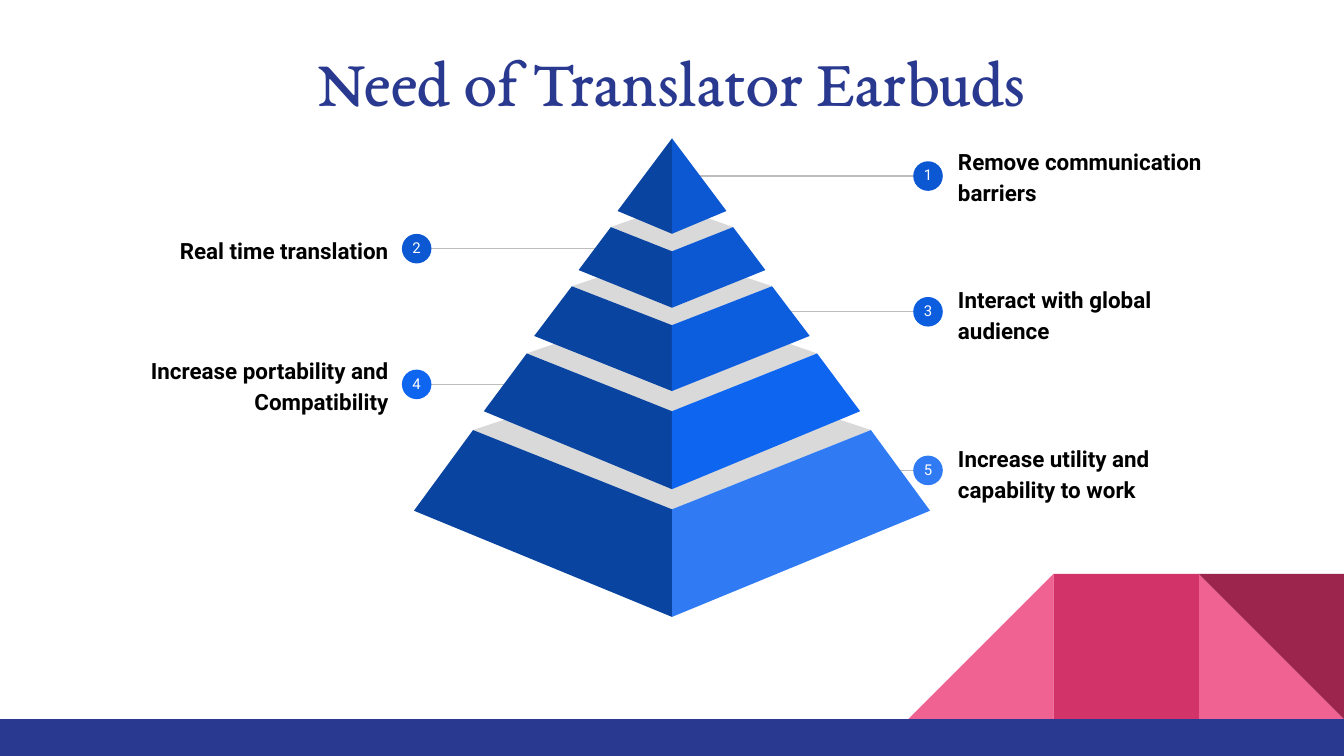
from lxml import etree
from pptx import Presentation, util as u
from pptx.dml.color import RGBColor
from pptx.enum import shapes, text
from pptx.oxml import ns

# Grid: 100 columns by 56.25 rows, each cell a tenth of an inch.
CELL = u.Inches(0.1)
COLS, ROWS, AXIS = 100, 56.25, 50
COLORS = {
    "navy": "2A3990", "pink": "F06292", "rose": "D23369", "wine": "9C254D",
    "shade": "0944A1", "cap": "D9D9D9", "rule": "BDBDBD",
    "black": "000000", "white": "FFFFFF",
    "tier1": "0C58D3", "tier2": "0C58D3", "tier3": "0D5DDF",
    "tier4": "0E65F0", "tier5": "307BF3",
}
# Tier: half width and row of the upper corner, seam top and bottom rows,
# half width and row of the lower corner, row of the cap's back corner.
TIERS = [
    (0, 10.3, 10.3, 17.4, 4.05, 15.7, None),
    (4.55, 16.9, 18.7, 22.9, 6.95, 20.1, 15.3),
    (7.45, 21.3, 24.2, 29.1, 10.25, 25, 18.8),
    (10.8, 26.3, 30.6, 36.4, 14, 30.6, 22.6),
    (14.8, 32, 37.9, 45.9, 19.2, 38, 27.1),
]
# Callout: side, rule row, rule's start column, label's top row, label.
CALLOUTS = [
    ("right", 13.1, 51.7, 8.9, "Remove communication barriers"),
    ("left", 18.5, 44.5, 14.4, "Real time translation"),
    ("right", 23.2, 57.6, 19.2, "Interact with global audience"),
    ("left", 28.6, 39.6, 24.5, "Increase portability and Compatibility"),
    ("right", 35, 63.2, 31, "Increase utility and capability to work"),
]
# Side: rule's end, badge's centre and label's left columns, label alignment.
SIDES = {
    "right": (69.8, 69.05, 70.3, text.PP_ALIGN.LEFT),
    "left": (30.4, 31, 6.6, text.PP_ALIGN.RIGHT),
}


def grid(*cells):
    """Turn grid positions into lengths."""
    return [u.Emu(round(c * CELL)) for c in cells]


def rgb(name):
    """Look up a colour by name."""
    return RGBColor.from_string(COLORS[name])


def paint(sp, color):
    """Give a shape a plain fill without line or shadow."""
    sp.shadow.inherit = False
    sp.fill.solid()
    sp.fill.fore_color.rgb = rgb(color)
    sp.line.fill.background()


def add_preset(s, kind, box, color):
    """Add a filled preset shape."""
    sp = s.shapes.add_shape(kind, *grid(*box))
    paint(sp, color)
    return sp


def add_face(s, points, color):
    """Add a filled polygon."""
    pts = [tuple(grid(*p)) for p in points]
    ff = s.shapes.build_freeform(*pts[0], scale=1.0)
    ff.add_line_segments(pts[1:], close=True)
    paint(ff.convert_to_shape(), color)


def add_rule(s, start, end, row):
    """Add a thin horizontal rule."""
    ln = s.shapes.add_connector(shapes.MSO_CONNECTOR.STRAIGHT,
                                *grid(start, row, end, row))
    ln.line.color.rgb = rgb("rule")
    ln.line.width = u.Pt(0.75)
    etree.SubElement(ln._element.spPr, ns.qn("a:effectLst"))


def write(sp, words, font, size, color, align, bold=False):
    """Write one formatted run into a shape's text frame."""
    tf = sp.text_frame
    tf.word_wrap = True
    tf.auto_size = text.MSO_AUTO_SIZE.NONE
    tf.margin_left = tf.margin_right = u.Inches(0.1)
    tf.margin_top = tf.margin_bottom = u.Inches(0.1)
    tf.vertical_anchor = text.MSO_ANCHOR.TOP
    p = tf.paragraphs[0]
    p.alignment = align
    r = p.add_run()
    r.text = words
    r.font.name, r.font.size, r.font.bold = font, u.Pt(size), bold
    r.font.color.rgb = rgb(color)
    return tf


def add_title(s, words):
    """Place and format the title placeholder."""
    sp = s.shapes.title
    sp.left, sp.top, sp.width, sp.height = grid(3.4, 1.9, 93.2, 6.3)
    write(sp, words, "EB Garamond", 36, "navy", text.PP_ALIGN.CENTER)


def add_footer(s):
    """Add the bottom bar and the corner blocks above it."""
    kinds = shapes.MSO_SHAPE
    side, bar = 10.8, 53.5
    right, top = COLS - side, bar - side
    tri = kinds.RIGHT_TRIANGLE
    add_preset(s, tri, (right, top, side, side), "pink")
    slope = add_preset(s, tri, (right - 2 * side, top, side, side), "pink")
    slope._element.spPr.xfrm.set("flipH", "1")
    add_preset(s, kinds.RECTANGLE, (right - side, top, side, side), "rose")
    add_preset(s, tri, (right, top, side, side), "wine").rotation = 180
    add_preset(s, kinds.RECTANGLE, (0, bar, COLS, ROWS - bar), "navy")


def add_callout(s, number, side, row, start, label_row, words):
    """Add a rule, a numbered badge and a label."""
    end, centre, label_col, align = SIDES[side]
    add_rule(s, start, end, row)
    add_preset(s, shapes.MSO_SHAPE.OVAL,
               (centre - 1.1, row - 1.1, 2.2, 2.2), f"tier{number}")
    digit = s.shapes.add_textbox(*grid(centre - 1.35, row - 1.75, 2.7, 3.4))
    write(digit, str(number), "Roboto", 8, "white", text.PP_ALIGN.CENTER)
    label = s.shapes.add_textbox(*grid(label_col, label_row, 23.3, 8.2))
    tf = write(label, words, "Roboto", 12, "black", align, True)
    tf.vertical_anchor = text.MSO_ANCHOR.MIDDLE
    tf.paragraphs[0].line_spacing = 1.15


def add_tier(s, number, upper, upper_row, seam, base, lower, lower_row, back):
    """Add a tier's cap and its two mirrored faces."""
    if back is not None:
        add_face(s, [(AXIS - upper, upper_row), (AXIS, seam),
                     (AXIS + upper, upper_row), (AXIS, back)], "cap")
    for sign, color in ((-1, "shade"), (1, f"tier{number}")):
        add_face(s, [(AXIS + sign * upper, upper_row), (AXIS, seam),
                     (AXIS, base), (AXIS + sign * lower, lower_row)], color)


def main():
    """Build and save the slide."""
    prs = Presentation()
    prs.slide_width, prs.slide_height = grid(COLS, ROWS)
    s = prs.slides.add_slide(prs.slide_layouts[5])
    add_footer(s)
    add_title(s, "Need of Translator Earbuds")
    for number, callout in enumerate(CALLOUTS, 1):
        add_callout(s, number, *callout)
    for number in range(len(TIERS), 0, -1):
        add_tier(s, number, *TIERS[number - 1])
    prs.save("out.pptx")


main()
